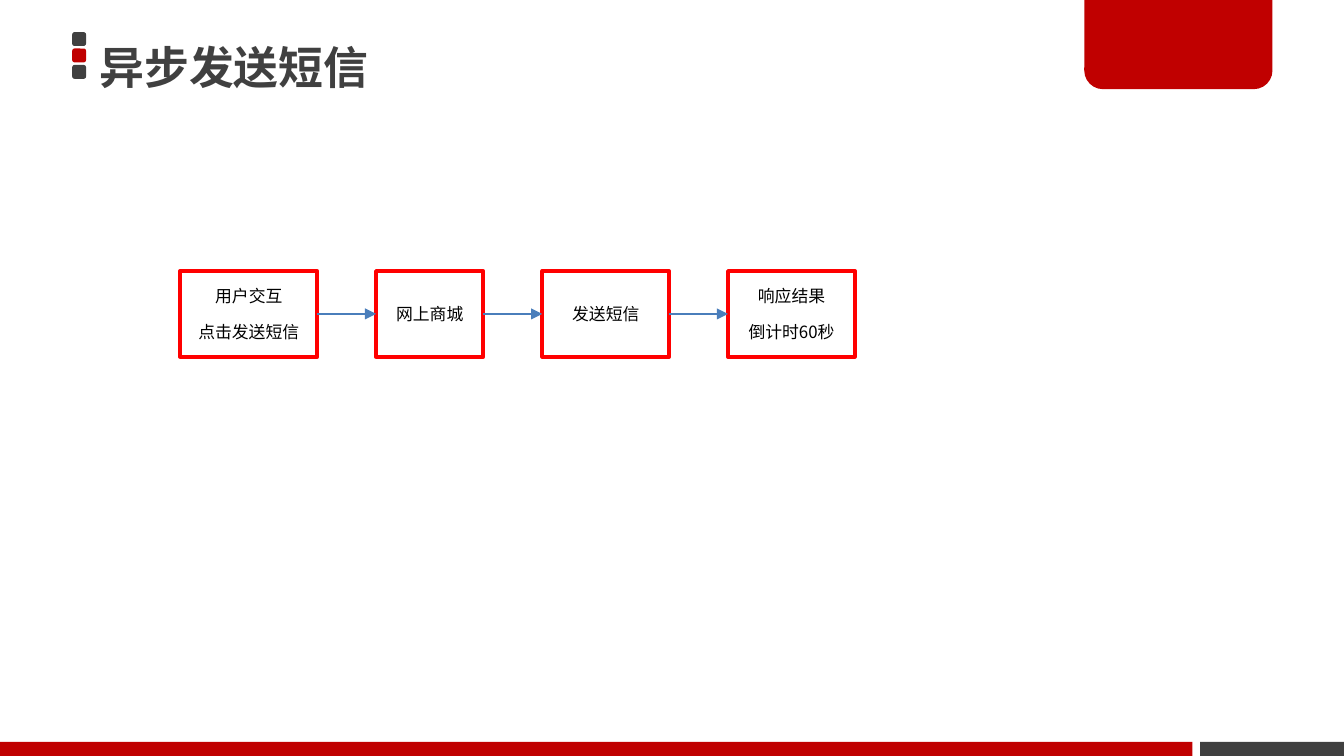
import dataclasses

import pptx
import pptx.dml.color
import pptx.enum.shapes
import pptx.enum.text
import pptx.oxml
import pptx.oxml.ns
import pptx.util

Pt = pptx.util.Pt
Shape = pptx.enum.shapes.MSO_SHAPE
Align = pptx.enum.text.PP_ALIGN
Anchor = pptx.enum.text.MSO_ANCHOR
A_NAMESPACE = pptx.oxml.ns.nsdecls("a")


@dataclasses.dataclass(frozen=True)
class Theme:
    font: str = "Noto Sans CJK SC"
    red: str = "C00000"
    dark: str = "404040"
    white: str = "FFFFFF"
    black: str = "000000"
    border: str = "FF0000"
    arrow: str = "4A7EBB"
    title_size: float = 24
    step_size: float = 9
    border_width: float = 2
    arrow_width: float = 0.75


THEME = Theme()
STEPS = [
    (["用户交互", "点击发送短信"], 73.5),
    (["网上商城"], 57.5),
    (["发送短信"], 68),
    (["响应结果", "倒计时60秒"], 68),
]


def rgb(value):
    return pptx.dml.color.RGBColor.from_string(value)


def write_text(holder, lines, *, size, color, bold=False, align=Align.LEFT,
               line_spacing=1.0, gap=0, inset_x=7.2, inset_y=3.6):
    frame = holder.text_frame
    frame.word_wrap = True
    frame.vertical_anchor = Anchor.MIDDLE
    frame.margin_left = frame.margin_right = Pt(inset_x)
    frame.margin_top = frame.margin_bottom = Pt(inset_y)
    for index, line in enumerate(lines):
        paragraph = frame.add_paragraph() if index else frame.paragraphs[0]
        paragraph.alignment = align
        paragraph.line_spacing = line_spacing
        paragraph.space_before = Pt(gap if index else 0)
        run = paragraph.add_run()
        run.text = line
        run.font.name = THEME.font
        run.font.size = Pt(size)
        run.font.bold = bold
        run.font.color.rgb = rgb(color)
        run.font._element.append(pptx.oxml.parse_xml(
            f'<a:ea {A_NAMESPACE} typeface="{THEME.font}"/>'))


def add_block(slide, kind, left, top, width, height, fill, border=None):
    block = slide.shapes.add_shape(kind, Pt(left), Pt(top), Pt(width), Pt(height))
    block.shadow.inherit = False
    block.fill.solid()
    block.fill.fore_color.rgb = rgb(fill)
    if border:
        block.line.color.rgb = rgb(border)
        block.line.width = Pt(THEME.border_width)
    else:
        block.line.fill.background()
    return block


def add_arrow(slide, start, end, y):
    arrow = slide.shapes.add_connector(
        pptx.enum.shapes.MSO_CONNECTOR.STRAIGHT, Pt(start), Pt(y), Pt(end), Pt(y))
    arrow.line.color.rgb = rgb(THEME.arrow)
    arrow.line.width = Pt(THEME.arrow_width)
    arrow.line._get_or_add_ln().append(
        pptx.oxml.parse_xml(f'<a:tailEnd {A_NAMESPACE} type="triangle"/>'))
    arrow._element.spPr.append(pptx.oxml.parse_xml(f"<a:effectLst {A_NAMESPACE}/>"))


def draw_header(slide, left, top, width, height):
    square, pitch = 7.4, 8.8
    for row, color in enumerate([THEME.dark, THEME.red, THEME.dark]):
        add_block(slide, Shape.ROUNDED_RECTANGLE, left, top + row * pitch,
                  square, square, color)
    tab_width, tab_height, radius = 100.8, 47.8, 10
    tab = add_block(slide, Shape.ROUND_2_SAME_RECTANGLE,
                    left + width - tab_width, 0, tab_width, tab_height, THEME.red)
    tab.adjustments[0] = 0
    tab.adjustments[1] = radius / tab_height
    title = slide.shapes.add_textbox(Pt(left + 8.9), Pt(top - 20.8), Pt(288), Pt(height))
    write_text(title, ["异步发送短信"], size=THEME.title_size, color=THEME.dark,
               bold=True, line_spacing=1.5, inset_x=5.76, inset_y=2.88)


def draw_flow(slide, left, top, height, gap):
    for index, (lines, width) in enumerate(STEPS):
        step = add_block(slide, Shape.RECTANGLE, left, top, width, height,
                         THEME.white, THEME.border)
        write_text(step, lines, size=THEME.step_size, color=THEME.black,
                   align=Align.CENTER, gap=8.7)
        if index:
            add_arrow(slide, left - gap, left, top + height / 2)
        left += width + gap


def draw_footer(slide, left, top, width, height):
    red_width, gap = 638.8, 4.2
    dark_left = left + red_width + gap
    add_block(slide, Shape.RECTANGLE, left, top, red_width, height, THEME.red)
    add_block(slide, Shape.RECTANGLE, dark_left, top,
              left + width - dark_left, height, THEME.dark)


def main():
    deck = pptx.Presentation()
    deck.slide_width, deck.slide_height = Pt(720), Pt(405)
    slide = deck.slides.add_slide(deck.slide_layouts[6])
    draw_header(slide, left=38.7, top=17.2, width=643, height=64)
    draw_flow(slide, left=96.5, top=145.2, height=46, gap=31.5)
    draw_footer(slide, left=0, top=397.5, width=720, height=7.5)
    deck.save("out.pptx")


if __name__ == "__main__":
    main()
